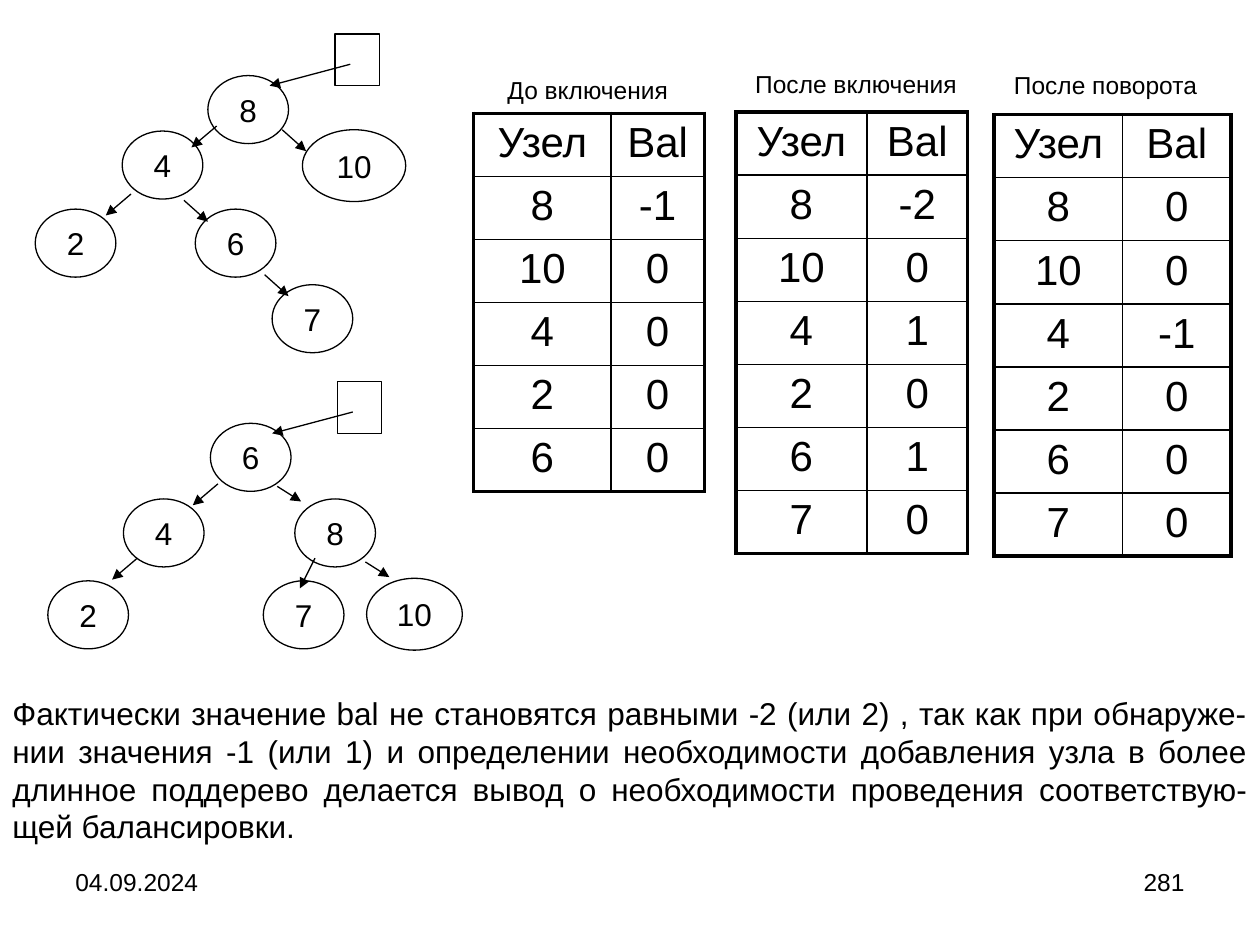
from lxml.etree import SubElement
from pptx import Presentation
from pptx.dml.color import RGBColor
from pptx.enum.shapes import MSO_CONNECTOR as Connector, MSO_SHAPE as Shape
from pptx.enum.text import MSO_ANCHOR as Anchor, PP_ALIGN as Align
from pptx.oxml import parse_xml
from pptx.oxml.ns import nsdecls, qn
from pptx.util import Inches, Pt

BLACK = RGBColor(0, 0, 0)
FONT = "Arial"
THIN, GRID, FRAME = 0.75, 1, 2.25  # line widths in points
ROW_HEIGHT = 0.5
NODE_SIZE = (0.64, 0.54)
POINTER_SIZE = (0.35, 0.41)
LEFT, RIGHT = (-0.2, 0.17), (0.19, 0.17)  # usual steps of an arrow to a child
SHORT_RIGHT, STEEP_LEFT = (0.19, 0.12), (-0.12, 0.24)
ROOT_STEP = (-0.64, 0.17)
ROOT_START = (0.12, 0.24)  # arrow start inside the pointer box

# nodes: label, left, top[, size]; arrows: start x, start y, step
TREES = [
    {
        "pointer": (2.66, 0.27),
        "nodes": [
            ("8", 1.65, 0.6), ("10", 2.4, 1.03, (0.82, 0.57)), ("4", 0.97, 1.04),
            ("2", 0.28, 1.66), ("6", 1.55, 1.66), ("7", 2.16, 2.26),
        ],
        "arrows": [
            (1.72, 1, LEFT), (1.04, 1.54, LEFT), (1.46, 1.59, RIGHT),
            (2.24, 1.03, RIGHT), (2.1, 2.18, RIGHT),
        ],
    },
    {
        "pointer": (2.68, 3.03),
        "nodes": [
            ("6", 1.67, 3.36), ("4", 0.98, 3.96), ("8", 2.34, 3.96),
            ("2", 0.38, 4.61), ("7", 2.09, 4.61), ("10", 2.91, 4.59, (0.76, 0.57)),
        ],
        "arrows": [
            (1.73, 3.84, LEFT), (1.09, 4.43, LEFT), (2.2, 3.86, SHORT_RIGHT),
            (2.9, 4.46, SHORT_RIGHT), (2.5, 4.43, STEEP_LEFT),
        ],
    },
]

HEADER = ("Узел", "Bal")
NODE_KEYS = ("8", "10", "4", "2", "6", "7")
# caption, caption box, table corner, column widths, balance of each node
TABLES = [
    ("До включения", (3.81, 0.55, 1.71, 0.33), (3.76, 0.9), (1.09, 0.74),
     ("-1", "0", "0", "0", "0")),
    ("После включения", (5.88, 0.5, 1.83, 0.33), (5.84, 0.89), (1.04, 0.8),
     ("-2", "0", "1", "0", "1", "0")),
    ("После поворота", (7.86, 0.51, 1.83, 0.33), (7.89, 0.91), (1.02, 0.86),
     ("0", "0", "-1", "0", "0", "0")),
]

# text, box, size, alignment
TEXTS = [
    ("04.09.2024", (0.5, 6.83, 2.33, 0.52), 14, Align.LEFT),
    ("281", (7.17, 6.83, 2.33, 0.52), 14, Align.RIGHT),
    ("Фактически значение bal не становятся равными -2 (или 2) , так как при "
     "обнаруже-нии значения -1 (или 1) и определении необходимости добавления узла "
     "в более длинное поддерево делается вывод о необходимости проведения "
     "соответствую-щей балансировки.", (0, 5.46, 10, 1.3), 18, Align.JUSTIFY),
]


def write(frame, text, size=18, align=Align.CENTER):
    para = frame.paragraphs[0]
    para.alignment = align
    span = para.add_run()
    span.text = text
    span.font.name, span.font.size = FONT, Pt(size)
    span.font.color.rgb = BLACK


def add_text(page, text, box, size, align):
    frame = page.shapes.add_textbox(*map(Inches, box)).text_frame
    frame.word_wrap = True
    write(frame, text, size=size, align=align)


def add_outline(page, kind, left, top, size, text=None):
    shape = page.shapes.add_shape(kind, *map(Inches, (left, top, *size)))
    shape.shadow.inherit = False
    shape.fill.background()
    shape.line.color.rgb, shape.line.width = BLACK, Pt(THIN)
    if text:
        shape.text_frame.word_wrap = False
        shape.text_frame.vertical_anchor = Anchor.MIDDLE
        write(shape.text_frame, text)


def add_arrow(page, x, y, step):
    ends = (x, y, x + step[0], y + step[1])
    arrow = page.shapes.add_connector(Connector.STRAIGHT, *map(Inches, ends))
    arrow.line.color.rgb, arrow.line.width = BLACK, Pt(THIN)
    SubElement(arrow.line._get_or_add_ln(), qn("a:tailEnd"), type="triangle")
    SubElement(arrow._element.spPr, qn("a:effectLst"))


def add_tree(page, pointer, nodes, arrows):
    for label, left, top, *size in nodes:
        add_outline(page, Shape.OVAL, left, top, size[0] if size else NODE_SIZE, label)
    add_outline(page, Shape.RECTANGLE, *pointer, POINTER_SIZE)
    root = (pointer[0] + ROOT_START[0], pointer[1] + ROOT_START[1], ROOT_STEP)
    for arrow in (root, *arrows):
        add_arrow(page, *arrow)


def set_borders(cell, widths):
    """Put black borders, in points by side letter, before the cell's fill."""
    for place, (side, width) in enumerate(widths.items()):
        border = parse_xml(
            f'<a:ln{side} {nsdecls("a")} w="{int(Pt(width))}"><a:solidFill>'
            f'<a:srgbClr val="{BLACK}"/></a:solidFill></a:ln{side}>')
        cell._tc.get_or_add_tcPr().insert(place, border)


def add_balance_table(page, corner, columns, balances):
    rows = [HEADER, *zip(NODE_KEYS, balances)]
    size = (sum(columns), ROW_HEIGHT * len(rows))
    table = page.shapes.add_table(
        len(rows), len(columns), *map(Inches, (*corner, *size))).table
    table.first_row = table.horz_banding = False
    for column, width in zip(table.columns, columns):
        column.width = Inches(width)
    for r, row in enumerate(rows):
        table.rows[r].height = Inches(ROW_HEIGHT)
        for c, text in enumerate(row):
            cell = table.cell(r, c)
            cell.fill.background()
            write(cell.text_frame, text, size=24)
            on_edge = {"L": c == 0, "R": c == len(row) - 1,
                       "T": r == 0, "B": r == len(rows) - 1}
            set_borders(cell, {s: FRAME if edge else GRID for s, edge in on_edge.items()})


def main():
    deck = Presentation()
    deck.slide_width, deck.slide_height = Inches(10), Inches(7.5)
    page = deck.slides.add_slide(deck.slide_layouts[6])
    for tree in TREES:
        add_tree(page, **tree)
    for caption, box, corner, columns, balances in TABLES:
        add_balance_table(page, corner, columns, balances)
        add_text(page, caption, box, 14, Align.CENTER)
    for text in TEXTS:
        add_text(page, *text)
    deck.save("out.pptx")


if __name__ == "__main__":
    main()
